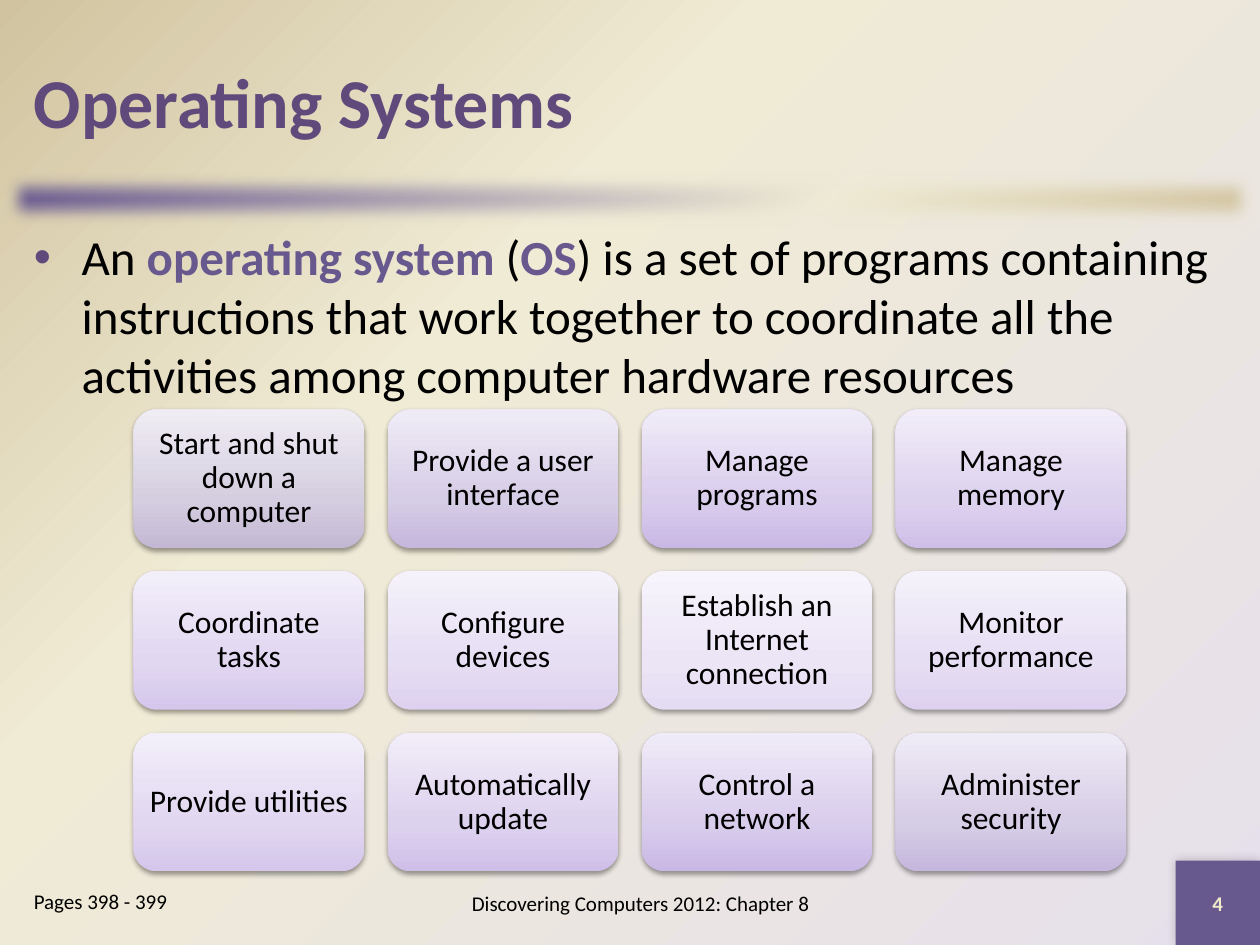
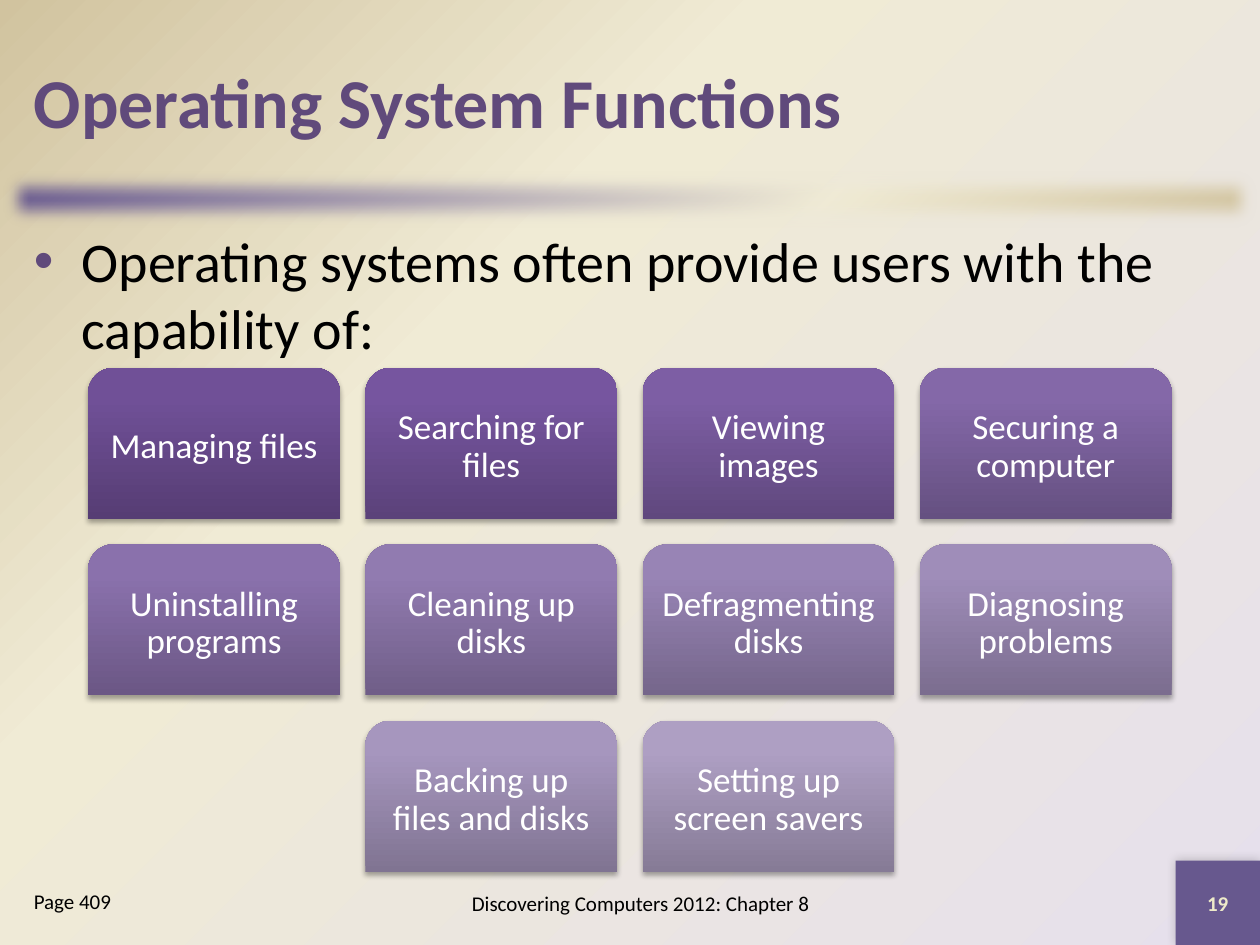
import pptx
import pptx.dml.color
import pptx.enum.shapes
import pptx.enum.text
import pptx.oxml
import pptx.oxml.ns
import pptx.util

Inches = pptx.util.Inches
Pt = pptx.util.Pt
RGBColor = pptx.dml.color.RGBColor
SHAPES = pptx.enum.shapes.MSO_SHAPE
ALIGN = pptx.enum.text.PP_ALIGN
ANCHOR = pptx.enum.text.MSO_ANCHOR
qn = pptx.oxml.ns.qn

FONT = "Calibri"
BLACK = RGBColor(0x00, 0x00, 0x00)
WHITE = RGBColor(0xFF, 0xFF, 0xFF)
TITLE_PURPLE = RGBColor(0x60, 0x4A, 0x7B)
ACCENT = RGBColor(0x67, 0x58, 0x8E)
CREAM = RGBColor(0xF0, 0xEB, 0xD5)
TAN = RGBColor(0xD1, 0xC3, 0x9F)
LAVENDER = RGBColor(0xE6, 0xE0, 0xEC)
NUMBER_CREAM = RGBColor(0xEE, 0xEB, 0xCA)

COLUMNS = 4
GAP_RATIO = 0.1      # gap between tiles, as a share of tile width
HEIGHT_RATIO = 0.6   # tile height, as a share of tile width

FROM_CORNER = ('<a:path path="circle"><a:fillToRect l="100000" t="100000"/>'
               '</a:path>')


def ramps(*rows):
    """Turn rows of hex values into tuples of colours, one tuple per tile."""
    return [tuple(RGBColor.from_string(value) for value in row.split())
            for row in rows]


# Bottom, middle and top colour of each tile
PALE_RAMPS = ramps(
    "C3B8D4 D5CEE0 EFECF3", "C5B7DD D6CDE6 EFEBF6", "C9B8E5 D9CDEC F0EBF8",
    "CFBFE8 DDD2EE F2EDF9", "D5C7EC E1D7F1 F3EFFA", "DDD1EF E6DEF3 F5F2FB",
    "E4DCF2 ECE5F6 F7F4FC")
PALE_RAMPS += PALE_RAMPS[-2:0:-1]
DEEP_RAMPS = ramps(
    "563D74 705097 704F99", "5B427A 76559F 7654A1", "60487E 7D5EA4 7D5DA6",
    "655081 8468A8 8467AA", "6B5785 8A71AC 8B71AE", "705E88 917BB0 927AB2",
    "75668B 9884B5 9984B7", "7B6D8F 9F8DB9 A08DBB", "807492 A696BE A796C0",
    "867B96 AE9FC3 AE9FC4")


def linear(degrees):
    return f'<a:lin ang="{degrees * 60000}" scaled="0"/>'


def apply_gradient(fill, holder, colours, middle, direction):
    """Fill with three colours at 0, middle and 100 percent."""
    stops = "".join(
        f'<a:gs pos="{at * 1000}"><a:srgbClr val="{colour}"/></a:gs>'
        for at, colour in zip((0, middle, 100), colours))
    fill.solid()
    holder.replace(holder.find(qn("a:solidFill")), pptx.oxml.parse_xml(
        f'<a:gradFill {pptx.oxml.ns.nsdecls("a")} rotWithShape="1">'
        f'<a:gsLst>{stops}</a:gsLst>{direction}</a:gradFill>'))


def add_effect(shape, tag, content="", **attributes):
    values = " ".join(f'{key}="{value}"' for key, value in attributes.items())
    shape.element.spPr.find(qn("a:effectLst")).append(pptx.oxml.parse_xml(
        f'<a:{tag} {pptx.oxml.ns.nsdecls("a")} {values}>{content}</a:{tag}>'))


def add_shadow(shape, opacity, blur, distance, degrees):
    add_effect(shape, "outerShdw",
               f'<a:srgbClr val="{BLACK}"><a:alpha val="{opacity * 1000}"/>'
               '</a:srgbClr>',
               blurRad=Pt(blur), dist=Pt(distance), dir=degrees * 60000,
               rotWithShape=0)


def add_plain_shape(slide, kind, box):
    shape = slide.shapes.add_shape(kind, *map(Inches, box))
    shape.shadow.inherit = False
    shape.line.fill.background()
    return shape


def add_run(paragraph, text, size, colour, bold=False):
    run = paragraph.add_run()
    run.text = text
    run.font.name = FONT
    run.font.size = Pt(size)
    run.font.bold = bold
    run.font.color.rgb = colour


def add_text(slide, box, runs, size, anchor=ANCHOR.TOP, align=ALIGN.LEFT):
    """Add a text box; each run is (text, colour, bold). Return its paragraph."""
    frame = slide.shapes.add_textbox(*map(Inches, box)).text_frame
    frame.word_wrap = True
    frame.vertical_anchor = anchor
    paragraph = frame.paragraphs[0]
    paragraph.alignment = align
    for text, colour, bold in runs:
        add_run(paragraph, text, size, colour, bold)
    return paragraph


def add_bullet(paragraph):
    properties = paragraph._p.get_or_add_pPr()
    properties.set("marL", str(Inches(0.38)))
    properties.set("indent", str(-Inches(0.38)))
    namespace = pptx.oxml.ns.nsdecls("a")
    for bullet_part in (
            f'<a:buClr {namespace}><a:srgbClr val="{TITLE_PURPLE}"/></a:buClr>',
            f'<a:buFont {namespace} typeface="Arial"/>',
            f'<a:buChar {namespace} char="•"/>'):
        properties.append(pptx.oxml.parse_xml(bullet_part))


def add_backdrop(slide):
    background_fill = slide.background.fill
    background_fill.solid()
    apply_gradient(background_fill, slide.element.find(".//" + qn("p:bgPr")),
                   (LAVENDER, CREAM, TAN), 65, FROM_CORNER)
    band = add_plain_shape(slide, SHAPES.RECTANGLE, (0, 1.33, 10, 0.5))
    apply_gradient(band.fill, band.element.spPr,
                   (ACCENT, CREAM, TAN), 65, linear(45))
    add_effect(band, "softEdge", rad=Pt(10))


def add_footer(slide, pages, number):
    add_text(slide, (0.17, 7, 1.83, 0.5), [(pages, BLACK, False)], 12)
    add_text(slide, (3, 6.92, 4.17, 0.5),
             [("Discovering Computers 2012: Chapter 8", BLACK, False)],
             12, ANCHOR.MIDDLE, ALIGN.CENTER)
    corner = add_plain_shape(slide, SHAPES.RECTANGLE, (9.33, 6.83, 0.67, 0.67))
    corner.fill.solid()
    corner.fill.fore_color.rgb = ACCENT
    add_shadow(corner, 20, 6, 0, 225)
    corner.text_frame.vertical_anchor = ANCHOR.MIDDLE
    paragraph = corner.text_frame.paragraphs[0]
    paragraph.alignment = ALIGN.CENTER
    add_run(paragraph, number, 12, NUMBER_CREAM, True)


def add_tile(slide, box, label, colours, style):
    tile = add_plain_shape(slide, style["kind"], box)
    apply_gradient(tile.fill, tile.element.spPr, colours,
                   style["middle"], linear(270))
    add_shadow(tile, *style["shadow"])
    frame = tile.text_frame
    frame.word_wrap = True
    frame.vertical_anchor = ANCHOR.MIDDLE
    frame.margin_left = frame.margin_right = Inches(style["inset"])
    frame.margin_top = frame.margin_bottom = Inches(style["inset"])
    paragraph = frame.paragraphs[0]
    paragraph.alignment = ALIGN.CENTER
    paragraph.line_spacing = 0.9
    add_run(paragraph, label, style["size"], style["text"])


def add_tile_grid(slide, left, top, width, labels, style):
    """Lay the labels out in rows of tiles; a short last row is centred."""
    tile_width = width / (COLUMNS + (COLUMNS - 1) * GAP_RATIO)
    tile_height = tile_width * HEIGHT_RATIO
    gap = tile_width * GAP_RATIO
    for index, (label, colours) in enumerate(zip(labels, style["ramps"])):
        row, column = divmod(index, COLUMNS)
        missing = max(0, (row + 1) * COLUMNS - len(labels))
        x = left + (column + missing / 2) * (tile_width + gap)
        y = top + row * (tile_height + gap)
        add_tile(slide, (x, y, tile_width, tile_height), label, colours, style)


PALE_TILES = {"kind": SHAPES.ROUNDED_RECTANGLE, "ramps": PALE_RAMPS,
              "middle": 35, "shadow": (38, 3.1, 1.6, 90),
              "inset": 0.07, "size": 18, "text": BLACK}
DEEP_TILES = {"kind": SHAPES.ROUND_2_SAME_RECTANGLE, "ramps": DEEP_RAMPS,
              "middle": 80, "shadow": (35, 3.1, 1.8, 90),
              "inset": 0.08, "size": 20, "text": WHITE}


def add_tile_slide(deck, title, statement, statement_size, pages, number,
                   grid_origin, grid_width, labels, style):
    slide = deck.slides.add_slide(deck.slide_layouts[6])
    add_backdrop(slide)
    add_text(slide, (0.17, 0.17, 9.67, 1.25), [(title, TITLE_PURPLE, True)],
             40, ANCHOR.MIDDLE)
    add_bullet(add_text(slide, (0.17, 1.75, 9.67, 5.08),
                        statement, statement_size))
    add_footer(slide, pages, number)
    add_tile_grid(slide, *grid_origin, grid_width, labels, style)


def main():
    deck = pptx.Presentation()
    deck.slide_width = Inches(10)
    deck.slide_height = Inches(7.5)

    add_tile_slide(
        deck, "Operating Systems",
        [("An ", BLACK, False), ("operating system ", ACCENT, True),
         ("(", BLACK, False), ("OS", ACCENT, True),
         (") is a set of programs containing instructions that work together "
          "to coordinate all the activities among computer hardware resources",
          BLACK, False)],
        28, "Pages 398 - 399", "4", (1.06, 3.25), 7.88,
        ["Start and shut down a computer", "Provide a user interface",
         "Manage programs", "Manage memory",
         "Coordinate tasks", "Configure devices",
         "Establish an Internet connection", "Monitor performance",
         "Provide utilities", "Automatically update",
         "Control a network", "Administer security"],
        PALE_TILES)

    add_tile_slide(
        deck, "Operating System Functions",
        [("Operating systems often provide users with the capability of:",
          BLACK, False)],
        32, "Page 409", "19", (0.7, 2.92), 8.6,
        ["Managing files", "Searching for files",
         "Viewing images", "Securing a computer",
         "Uninstalling programs", "Cleaning up disks",
         "Defragmenting disks", "Diagnosing problems",
         "Backing up files and disks", "Setting up screen savers"],
        DEEP_TILES)

    deck.save("out.pptx")


if __name__ == "__main__":
    main()
